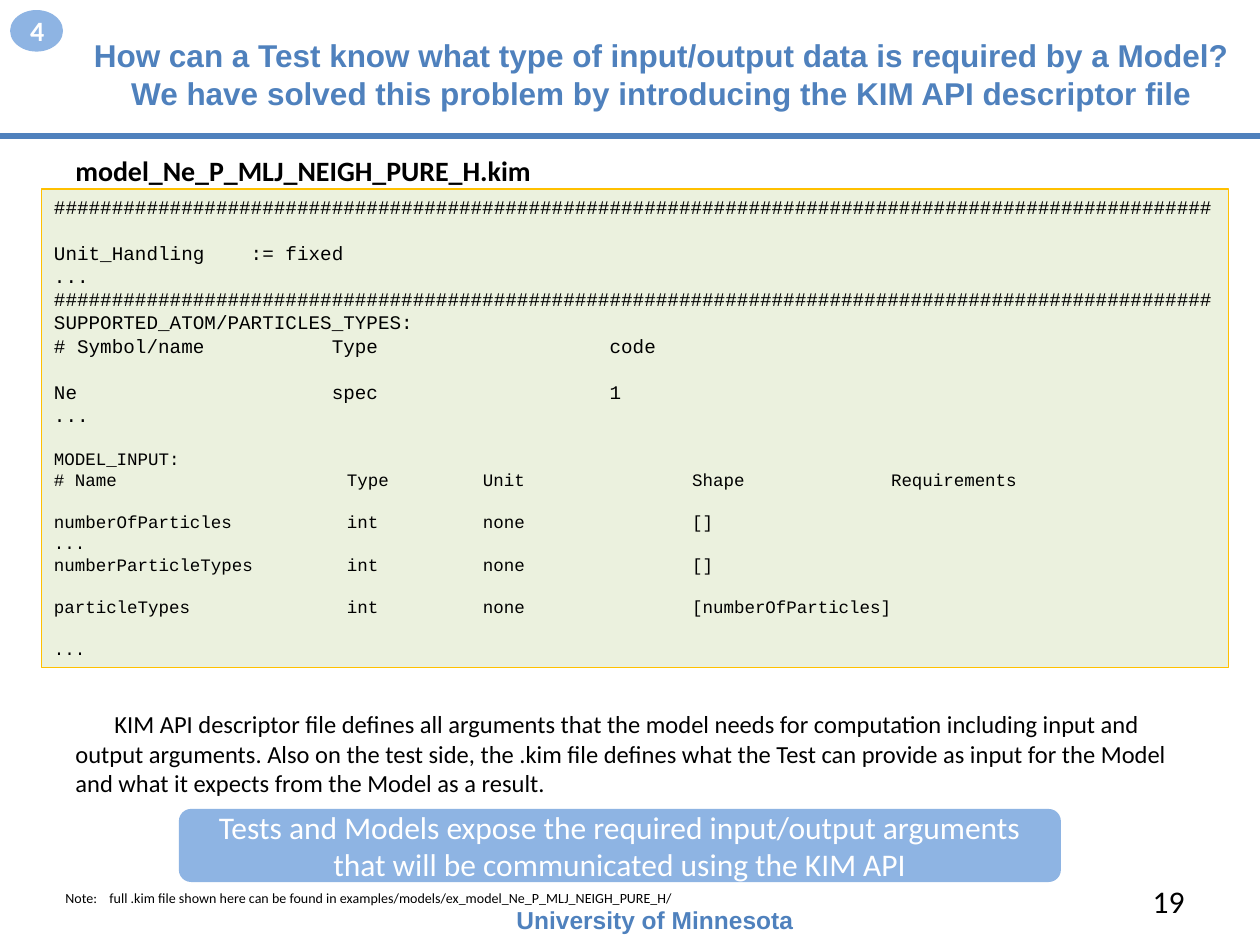
import pptx
import pptx.util
import pptx.dml.color
import pptx.enum.shapes
import pptx.enum.text
import pptx.oxml.ns
from lxml import etree

Inches = pptx.util.Inches
Pt = pptx.util.Pt
RGBColor = pptx.dml.color.RGBColor
SHAPE = pptx.enum.shapes.MSO_SHAPE
ALIGN = pptx.enum.text.PP_ALIGN
ANCHOR = pptx.enum.text.MSO_ANCHOR

BLUE = RGBColor(0x4F, 0x81, 0xBD)
LIGHT_BLUE = RGBColor(0x8E, 0xB4, 0xE3)
PALE_GREEN = RGBColor(0xEB, 0xF1, 0xDE)
GOLD = RGBColor(0xFF, 0xC0, 0x00)
BLACK = RGBColor(0, 0, 0)
WHITE = RGBColor(0xFF, 0xFF, 0xFF)

presentation = pptx.Presentation()
presentation.slide_width = Inches(10)
presentation.slide_height = Inches(7.5)
slide = presentation.slides.add_slide(presentation.slide_layouts[5])


def add_run(paragraph, text, size, color, font="Calibri", bold=False):
    run = paragraph.add_run()
    run.text = text
    run.font.size = Pt(size)
    run.font.name = font
    run.font.bold = bold
    run.font.color.rgb = color


def add_box(left, top, width, height, preset=None, fill=None, anchor=ANCHOR.TOP, align=ALIGN.LEFT):
    """Add a text box, or a filled preset shape, and return it ready for text."""
    place = Inches(left), Inches(top), Inches(width), Inches(height)
    if preset is None:
        shape = slide.shapes.add_textbox(*place)
    else:
        shape = slide.shapes.add_shape(preset, *place)
        shape.shadow.inherit = False
        shape.fill.solid()
        shape.fill.fore_color.rgb = fill
        shape.line.fill.background()
    shape.text_frame.word_wrap = True
    shape.text_frame.vertical_anchor = anchor
    shape.text_frame.paragraphs[0].alignment = align
    return shape


# Title
title = slide.shapes.title
title.left, title.top, title.width, title.height = Inches(0.5), Inches(0.25), Inches(9.5), Inches(0.67)
title.text_frame.vertical_anchor = ANCHOR.MIDDLE
paragraph = title.text_frame.paragraphs[0]
paragraph.alignment = ALIGN.CENTER
add_run(paragraph, "How can a Test know what type of input/output data is required by a Model?",
        18, BLUE, "Arial", True)
paragraph.add_line_break()
add_run(paragraph, "We have solved this problem by introducing the KIM API descriptor file",
        18, BLUE, "Arial", True)

# Section badge
badge = add_box(0.08, 0.08, 0.42, 0.33, SHAPE.OVAL, LIGHT_BLUE, ANCHOR.MIDDLE, ALIGN.CENTER)
add_run(badge.text_frame.paragraphs[0], "4", 16, WHITE, bold=True)

# Rule under the title
rule = slide.shapes.add_connector(pptx.enum.shapes.MSO_CONNECTOR.STRAIGHT,
                                  Inches(0), Inches(1.08), Inches(10), Inches(1.08))
rule.line.color.rgb = BLUE
rule.line.width = Pt(3)
etree.SubElement(rule.element.spPr, pptx.oxml.ns.qn("a:effectLst"))

# Footer and slide number
footer = add_box(4, 7.13, 2.67, 0.34)
add_run(footer.text_frame.paragraphs[0], "University of Minnesota", 14, BLUE, "Arial", True)
number = add_box(7.17, 6.95, 2.33, 0.4, anchor=ANCHOR.MIDDLE, align=ALIGN.RIGHT)
add_run(number.text_frame.paragraphs[0], "19", 18, BLACK)

# Descriptor file listing: size, empty lines above, text
HASHES = "#" * 100
code_lines = [
    (11, 0, HASHES),
    (11, 1, "Unit_Handling    := fixed"),
    (11, 0, "..."),
    (11, 0, HASHES),
    (11, 0, "SUPPORTED_ATOM/PARTICLES_TYPES:"),
    (11, 0, "# Symbol/name           Type                    code"),
    (11, 1, "Ne                      spec                    1"),
    (11, 0, "..."),
    (10, 1, "MODEL_INPUT:"),
    (10, 0, "# Name                      Type         Unit                Shape              Requirements"),
    (10, 1, "numberOfParticles           int          none                []"),
    (10, 0, "..."),
    (10, 0, "numberParticleTypes         int          none                []"),
    (10, 1, "particleTypes               int          none                [numberOfParticles]"),
    (10, 1, "..."),
]
LINE_PITCH = {11: 13.2, 10: 12.1}
listing = add_box(0.33, 1.5, 9.42, 3.8, SHAPE.RECTANGLE, PALE_GREEN)
listing.line.color.rgb = GOLD
listing.line.width = Pt(0.75)
for index, (size, gap, text) in enumerate(code_lines):
    frame = listing.text_frame
    paragraph = frame.add_paragraph() if index else frame.paragraphs[0]
    paragraph.alignment = ALIGN.LEFT
    paragraph.line_spacing = Pt(LINE_PITCH[size])
    if gap:
        paragraph.space_before = Pt(LINE_PITCH[size])
    add_run(paragraph, text, size, BLACK, "Courier New")

# File name above the listing
file_name = add_box(0.5, 1.17, 4.33, 0.37)
add_run(file_name.text_frame.paragraphs[0], "model_Ne_P_MLJ_NEIGH_PURE_H.kim", 16, BLACK, bold=True)

# Note with a hanging indent
note = add_box(0.42, 7.01, 7.42, 0.24)
paragraph = note.text_frame.paragraphs[0]
properties = paragraph._p.get_or_add_pPr()
properties.set("marL", str(Inches(0.35)))
properties.set("indent", str(-Inches(0.35)))
add_run(paragraph, "Note:\tfull .kim file shown here can be found in examples/models/ex_model_Ne_P_MLJ_NEIGH_PURE_H/",
        8, BLACK)

# Explanation with an indented first line
explanation = add_box(0.5, 5.58, 9.08, 1.08)
paragraph = explanation.text_frame.paragraphs[0]
paragraph._p.get_or_add_pPr().set("indent", str(Inches(0.31)))
add_run(paragraph, "KIM API descriptor file defines all arguments that the model needs for computation "
        "including input and output arguments. Also on the test side, the .kim file defines what the "
        "Test can provide as input for the Model and what it expects from the Model as a result.",
        14, BLACK)

# Key message
message = add_box(1.42, 6.42, 7, 0.58, SHAPE.ROUNDED_RECTANGLE, LIGHT_BLUE, ANCHOR.MIDDLE, ALIGN.CENTER)
add_run(message.text_frame.paragraphs[0], "Tests and Models expose the required input/output arguments "
        "that will be communicated using the KIM API", 18, WHITE)

presentation.save("out.pptx")
